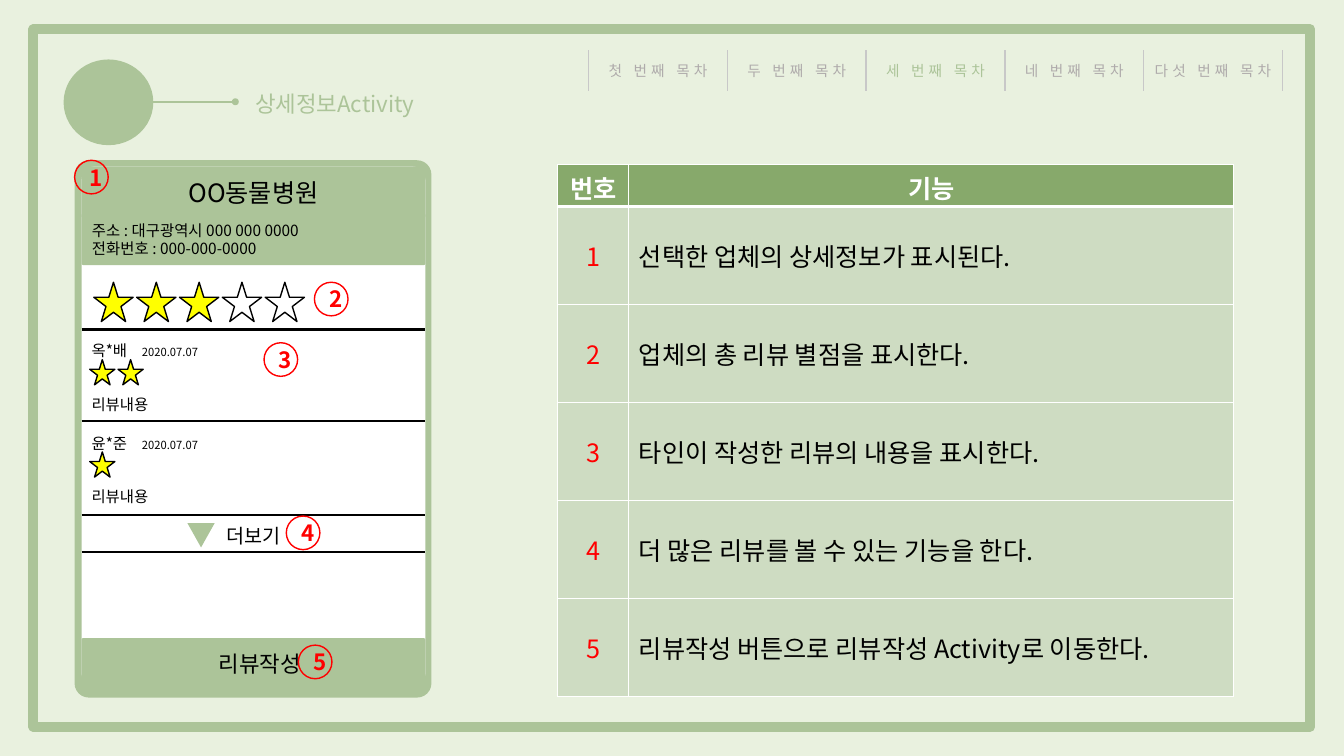
"""Build the detail-screen slide: a clinic app mock-up beside a table of its functions."""

from dataclasses import dataclass
from typing import Any, Optional

from lxml.etree import SubElement
from pptx import Presentation
from pptx.dml.color import RGBColor
from pptx.enum.shapes import MSO_CONNECTOR, MSO_SHAPE
from pptx.enum.text import MSO_ANCHOR, MSO_AUTO_SIZE, PP_ALIGN
from pptx.oxml.ns import qn
from pptx.util import Pt


@dataclass(frozen=True)
class Theme:
    font: str = "Noto Sans CJK KR"
    page: str = "E9F1DF"
    sage: str = "ACC499"
    header: str = "87A96B"
    row: str = "CEDCC2"
    white: str = "FFFFFF"
    black: str = "000000"
    red: str = "FF0000"
    yellow: str = "FFFF00"
    muted: str = "AFABAB"
    divider: str = "C8C8C8"
    large: float = 18
    heading: float = 16
    medium: float = 14
    small: float = 11
    label: float = 10.5
    tiny: float = 8


THEME = Theme()


@dataclass(frozen=True)
class Box:
    left: float
    top: float
    width: float
    height: float

    def lengths(self) -> list:
        return [Pt(value) for value in (self.left, self.top, self.width, self.height)]


@dataclass(frozen=True)
class Span:
    text: str
    size: float
    color: str = THEME.black
    bold: bool = False
    spacing: float = 0


@dataclass(frozen=True)
class Para:
    spans: tuple
    align: Any = PP_ALIGN.LEFT
    before: float = 0


@dataclass(frozen=True)
class Badge:
    number: int
    left: float
    top: float


@dataclass(frozen=True)
class Review:
    author: str
    date: str
    stars: int
    top: float


MENU = ("첫 번째 목차", "두 번째 목차", "세 번째 목차", "네 번째 목차", "다섯 번째 목차")
CURRENT_MENU = 2
MENU_LEFT, MENU_STEP = 420.5, 99.1
SCREEN_LEFT, SCREEN_WIDTH = 58.3, 245.5
REVIEWS = (Review("옥*배", "2020.07.07", 2, 236.5), Review("윤*준", "2020.07.07", 1, 302.4))
SCREEN_RULES = (235.4, 301, 367.9, 394.6)
BADGES = (
    Badge(1, 53.3, 114.5),
    Badge(2, 224.6, 201.6),
    Badge(3, 188.6, 244.8),
    Badge(4, 204.5, 368.6),
    Badge(5, 213.1, 460.8),
)
FUNCTIONS = (
    "선택한 업체의 상세정보가 표시된다.",
    "업체의 총 리뷰 별점을 표시한다.",
    "타인이 작성한 리뷰의 내용을 표시한다.",
    "더 많은 리뷰를 볼 수 있는 기능을 한다.",
    "리뷰작성 버튼으로 리뷰작성 Activity로 이동한다.",
)


def assign(target: Any, formats: dict) -> None:
    for name, value in formats.items():
        setattr(target, name, value)


def write(frame: Any, paras: tuple, **formats: Any) -> None:
    assign(frame, {"word_wrap": True, "vertical_anchor": MSO_ANCHOR.MIDDLE, **formats})
    for index, para in enumerate(paras):
        line = frame.paragraphs[0] if index == 0 else frame.add_paragraph()
        assign(line, {"alignment": para.align, "space_before": Pt(para.before)})
        for span in para.spans:
            run = line.add_run()
            run.text = span.text
            assign(run.font, {"name": THEME.font, "size": Pt(span.size), "bold": span.bold})
            run.font.color.rgb = RGBColor.from_string(span.color)
            properties = run._r.get_or_add_rPr()
            SubElement(properties, qn("a:ea"), typeface=THEME.font)
            if span.spacing:
                properties.set("spc", str(int(span.spacing * 100)))


def add_text(page: Any, box: Box, *paras: Para) -> None:
    write(page.shapes.add_textbox(*box.lengths()).text_frame, paras)


def add_figure(page: Any, kind: Any, box: Box, fill: Optional[str] = None,
               line: Optional[str] = None, weight: float = 1,
               corner: Optional[float] = None) -> Any:
    figure = page.shapes.add_shape(kind, *box.lengths())
    figure.shadow.inherit = False
    for paint, color in ((figure.fill, fill), (figure.line.fill, line)):
        if color:
            paint.solid()
            paint.fore_color.rgb = RGBColor.from_string(color)
        else:
            paint.background()
    if line:
        figure.line.width = Pt(weight)
    if corner is not None:
        figure.adjustments[0] = corner
    return figure


def add_rule(page: Any, left: float, top: float, right: float, bottom: float,
             color: str, weight: float) -> None:
    ends = [Pt(value) for value in (left, top, right, bottom)]
    rule = page.shapes.add_connector(MSO_CONNECTOR.STRAIGHT, *ends)
    rule.line.color.rgb = RGBColor.from_string(color)
    rule.line.width = Pt(weight)
    SubElement(rule._element.spPr, qn("a:effectLst"))


def add_stars(page: Any, left: float, top: float, size: float, step: float,
              filled: int, total: int) -> None:
    for index in range(total):
        color = THEME.yellow if index < filled else THEME.white
        box = Box(left + index * step, top, size, size)
        add_figure(page, MSO_SHAPE.STAR_5_POINT, box, color, THEME.black)


def add_heading(page: Any) -> None:
    add_figure(page, MSO_SHAPE.RECTANGLE, Box(23.8, 20.9, 912.2, 498.2), line=THEME.sage, weight=7)
    add_figure(page, MSO_SHAPE.OVAL, Box(45.4, 42.5, 64.1, 61.2), THEME.sage)
    add_rule(page, 100, 72.7, 166.3, 72.7, THEME.sage, 1.5)
    add_figure(page, MSO_SHAPE.OVAL, Box(165.6, 70.2, 5, 5), THEME.sage)
    title = page.shapes.title
    assign(title, dict(zip(("left", "top", "width", "height"), Box(175, 61, 150, 26.6).lengths())))
    write(title.text_frame, (Para((Span("상세정보Activity", THEME.heading, THEME.sage),)),),
          auto_size=MSO_AUTO_SIZE.NONE)


def add_menu(page: Any) -> None:
    for index in range(len(MENU) + 1):
        left = MENU_LEFT + index * MENU_STEP
        add_rule(page, left, 36, left, 64.8, THEME.divider, 1)
    for index, name in enumerate(MENU):
        color = THEME.sage if index == CURRENT_MENU else THEME.muted
        box = Box(MENU_LEFT + index * MENU_STEP - 3, 40.3, MENU_STEP + 6, 20.2)
        add_text(page, box, Para((Span(name, THEME.label, color, spacing=3),), PP_ALIGN.CENTER))


def add_bar(page: Any, top: float, *paras: Para, **formats: Any) -> None:
    box = Box(SCREEN_LEFT, top, SCREEN_WIDTH, 36.7)
    bar = add_figure(page, MSO_SHAPE.ROUNDED_RECTANGLE, box, THEME.sage, corner=0.03)
    write(bar.text_frame, paras, **formats)


def add_screen(page: Any) -> None:
    rounded = MSO_SHAPE.ROUNDED_RECTANGLE
    add_figure(page, rounded, Box(53.3, 114.5, 254.9, 383.8), THEME.sage, corner=0.04)
    add_figure(page, rounded, Box(SCREEN_LEFT, 118.8, SCREEN_WIDTH, 372.2), THEME.white, corner=0.04)
    add_bar(page, 118.8, Para((Span("OO동물병원", THEME.large),), PP_ALIGN.CENTER))
    add_bar(page, 152.6, Para((Span("주소 : 대구광역시 000 000 0000", THEME.small),)),
            Para((Span("전화번호 : 000-000-0000", THEME.small),)))
    add_bar(page, 455.8, Para((Span("리뷰작성", THEME.heading),), PP_ALIGN.CENTER),
            margin_left=Pt(16))
    add_stars(page, 67, 201.6, 28.1, 30.6, 3, 5)
    for review in REVIEWS:
        add_text(page, Box(SCREEN_LEFT, review.top, SCREEN_WIDTH, 66.2),
                 Para((Span(review.author + "\t", THEME.small), Span(review.date, THEME.tiny))),
                 Para((Span("리뷰내용", THEME.small),), before=25))
        add_stars(page, 64.1, review.top + 20.4, 18, 20.2, review.stars, review.stars)
    for top in SCREEN_RULES:
        add_rule(page, SCREEN_LEFT, top, SCREEN_LEFT + SCREEN_WIDTH, top, THEME.black, 1.5)
    arrow = Box(133.9, 373.7, 19.4, 17.3)
    add_figure(page, MSO_SHAPE.ISOSCELES_TRIANGLE, arrow, THEME.sage).rotation = 180
    add_text(page, Box(SCREEN_LEFT, 367.9, SCREEN_WIDTH, 29.5),
             Para((Span("더보기", THEME.medium),), PP_ALIGN.CENTER))
    for badge in BADGES:
        circle = add_figure(page, MSO_SHAPE.OVAL, Box(badge.left, badge.top, 24, 24), line=THEME.red)
        number = Span(str(badge.number), THEME.heading, THEME.red, True)
        write(circle.text_frame, (Para((number,), PP_ALIGN.CENTER),))


def fill_cell(cell: Any, span: Span, align: Any, fill: str, top: float, bottom: float) -> None:
    write(cell.text_frame, (Para((span,), align),))
    cell.vertical_anchor = MSO_ANCHOR.MIDDLE
    properties = cell._tc.get_or_add_tcPr()
    for side, weight in {"lnL": 1, "lnR": 1, "lnT": top, "lnB": bottom}.items():
        border = SubElement(properties, qn(f"a:{side}"), w=str(Pt(weight)))
        SubElement(SubElement(border, qn("a:solidFill")), qn("a:srgbClr"), val=THEME.white)
    cell.fill.solid()
    cell.fill.fore_color.rgb = RGBColor.from_string(fill)


def add_functions(page: Any) -> None:
    rows = [("번호", "기능"), *((str(number), text) for number, text in enumerate(FUNCTIONS, 1))]
    table = page.shapes.add_table(len(rows), 2, *Box(398.2, 117.5, 483, 380).lengths()).table
    table.horz_banding = False
    for column, width in zip(table.columns, (51, 432)):
        column.width = Pt(width)
    for row, texts in enumerate(rows):
        heading = row == 0
        table.rows[row].height = Pt(30 if heading else 70)
        for column, text in enumerate(texts):
            color = THEME.white if heading else (THEME.red, THEME.black)[column]
            align = PP_ALIGN.CENTER if heading or column == 0 else PP_ALIGN.LEFT
            fill_cell(table.cell(row, column), Span(text, THEME.large, color, heading), align,
                      THEME.header if heading else THEME.row,
                      3 if row == 1 else 1, 3 if heading else 1)


def main() -> None:
    deck = Presentation()
    assign(deck, {"slide_width": Pt(960), "slide_height": Pt(540)})
    page = deck.slides.add_slide(deck.slide_layouts[5])
    page.background.fill.solid()
    page.background.fill.fore_color.rgb = RGBColor.from_string(THEME.page)
    for draw in (add_heading, add_menu, add_screen, add_functions):
        draw(page)
    deck.save("out.pptx")


if __name__ == "__main__":
    main()
